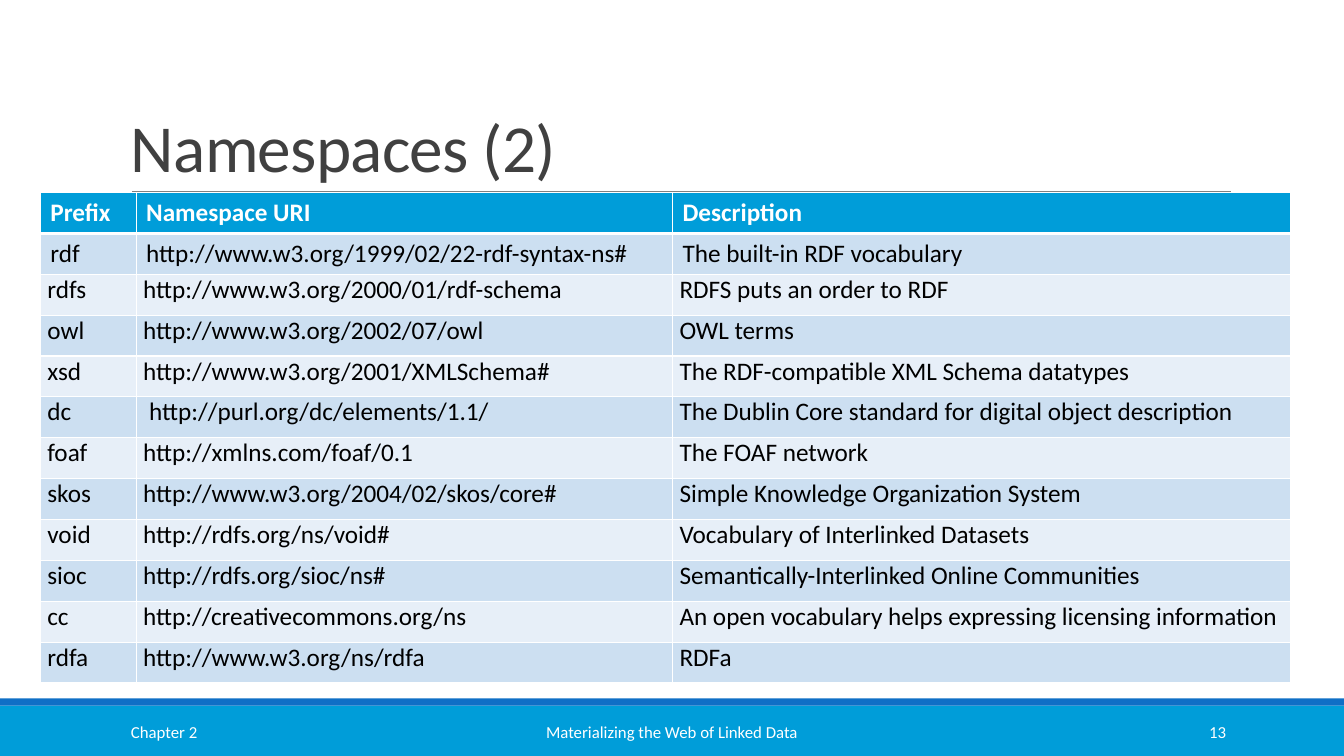
from typing import NamedTuple

import lxml.etree
import pptx
import pptx.dml.color
import pptx.enum.shapes
import pptx.enum.text
import pptx.oxml.ns
import pptx.util

Inches, Pt = pptx.util.Inches, pptx.util.Pt
RGBColor = pptx.dml.color.RGBColor
ALIGN, ANCHOR = pptx.enum.text.PP_ALIGN, pptx.enum.text.MSO_ANCHOR
qn = pptx.oxml.ns.qn

WHITE = RGBColor(0xFF, 0xFF, 0xFF)
BLACK = RGBColor(0x00, 0x00, 0x00)
CYAN = RGBColor(0x00, 0x9D, 0xD9)
BLUE = RGBColor(0x0F, 0x6F, 0xC6)
GRAY = RGBColor(0x80, 0x80, 0x80)
TITLE_GRAY = RGBColor(0x40, 0x40, 0x40)
BAND_DARK = RGBColor(0xCC, 0xDF, 0xF1)
BAND_LIGHT = RGBColor(0xE7, 0xEF, 0xF8)
FONT = "Calibri"


class Bar(NamedTuple):
    top: float
    height: float
    color: RGBColor


class Label(NamedTuple):
    text: str
    left: float
    top: float
    width: float
    height: float
    align: ALIGN = ALIGN.LEFT
    anchor: ANCHOR = ANCHOR.MIDDLE
    size: float = 12
    color: RGBColor = WHITE


class Namespace(NamedTuple):
    prefix: str
    uri: str
    description: str
    uri_indent: float = 0


BARS = [Bar(7, 0.5, CYAN), Bar(6.93, 0.07, BLUE)]
TITLE = Label("Namespaces (2)", 1.2, 0.31, 11, 1.59,
              anchor=ANCHOR.BOTTOM, size=48, color=TITLE_GRAY)
FOOTERS = [
    Label("Chapter 2", 1.2, 7.06, 2.7, 0.4),
    Label("Materializing the Web of Linked Data", 4.03, 7.06, 5.27, 0.4, ALIGN.CENTER),
    Label("13", 10.83, 7.06, 1.43, 0.4, ALIGN.RIGHT),
]
COLUMN_WIDTHS = [0.95, 5.32, 6.13]
ROWS = [
    Namespace("Prefix", "Namespace URI", "Description"),
    Namespace("rdf", "http://www.w3.org/1999/02/22-rdf-syntax-ns#", "The built-in RDF vocabulary"),
    Namespace("rdfs", "http://www.w3.org/2000/01/rdf-schema", "RDFS puts an order to RDF"),
    Namespace("owl", "http://www.w3.org/2002/07/owl", "OWL terms"),
    Namespace("xsd", "http://www.w3.org/2001/XMLSchema#",
              "The RDF-compatible XML Schema datatypes"),
    Namespace("dc", "http://purl.org/dc/elements/1.1/",
              "The Dublin Core standard for digital object description", 0.06),
    Namespace("foaf", "http://xmlns.com/foaf/0.1", "The FOAF network"),
    Namespace("skos", "http://www.w3.org/2004/02/skos/core#",
              "Simple Knowledge Organization System"),
    Namespace("void", "http://rdfs.org/ns/void#", "Vocabulary of Interlinked Datasets"),
    Namespace("sioc", "http://rdfs.org/sioc/ns#", "Semantically-Interlinked Online Communities"),
    Namespace("cc", "http://creativecommons.org/ns",
              "An open vocabulary helps expressing licensing information"),
    Namespace("rdfa", "http://www.w3.org/ns/rdfa", "RDFa"),
]


def set_font(p, size: float, color: RGBColor, bold: bool = False) -> None:
    p.font.name = FONT
    p.font.size = Pt(size)
    p.font.bold = bold
    p.font.color.rgb = color


def add_bar(slide, bar: Bar) -> None:
    sp = slide.shapes.add_shape(pptx.enum.shapes.MSO_SHAPE.RECTANGLE, 0, Inches(bar.top),
                                Inches(13.33), Inches(bar.height))
    sp.shadow.inherit = False
    sp.fill.solid()
    sp.fill.fore_color.rgb = bar.color
    sp.line.fill.background()


def add_rule(slide) -> None:
    line = slide.shapes.add_connector(pptx.enum.shapes.MSO_CONNECTOR.STRAIGHT, Inches(1.31),
                                      Inches(1.9), Inches(12.21), Inches(1.9))
    line.line.color.rgb = GRAY
    line.line.width = Pt(0.5)
    lxml.etree.SubElement(line._element.spPr, qn("a:effectLst"))


def add_label(slide, label: Label):
    sp = slide.shapes.add_textbox(Inches(label.left), Inches(label.top),
                                  Inches(label.width), Inches(label.height))
    tf = sp.text_frame
    tf.word_wrap = True
    tf.vertical_anchor = label.anchor
    p = tf.paragraphs[0]
    p.text = label.text
    p.alignment = label.align
    set_font(p, label.size, label.color)
    return p


def add_border(cell, side: str, width: float) -> None:
    ln = lxml.etree.SubElement(cell._tc.get_or_add_tcPr(), qn(f"a:ln{side}"),
                               w=str(Pt(width)))
    fill = lxml.etree.SubElement(ln, qn("a:solidFill"))
    lxml.etree.SubElement(fill, qn("a:srgbClr"), val=str(WHITE))


def fill_cell(cell, text: str, row: int, indent: float) -> None:
    header = row == 0
    for side in "LRTB":
        thick = (side == "B" and header) or (side == "T" and row == 1)
        add_border(cell, side, 3 if thick else 1)
    cell.fill.solid()
    cell.fill.fore_color.rgb = CYAN if header else BAND_DARK if row % 2 else BAND_LIGHT
    if row > 1:
        cell.margin_left = Inches(0.07 + indent)
        cell.margin_right = Inches(0.07)
        cell.margin_top = cell.margin_bottom = 0
    p = cell.text_frame.paragraphs[0]
    p.text = text
    set_font(p, 18, WHITE if header else BLACK, header)


def add_namespace_table(slide) -> None:
    table = slide.shapes.add_table(len(ROWS), len(COLUMN_WIDTHS), Inches(0.4), Inches(1.91),
                                   Inches(12.4), Inches(4.87)).table
    for column, width in zip(table.columns, COLUMN_WIDTHS):
        column.width = Inches(width)
    for i, entry in enumerate(ROWS):
        texts = (entry.prefix, entry.uri, entry.description)
        for j, text in enumerate(texts):
            fill_cell(table.cell(i, j), text, i, entry.uri_indent if j == 1 else 0)


def main() -> None:
    prs = pptx.Presentation()
    prs.slide_width, prs.slide_height = Inches(13.33), Inches(7.5)
    slide = prs.slides.add_slide(prs.slide_layouts[6])

    # Footer bars and title rule
    for bar in BARS:
        add_bar(slide, bar)
    add_rule(slide)

    # Title, slightly condensed
    p = add_label(slide, TITLE)
    p.line_spacing = 0.85
    p.runs[0]._r.get_or_add_rPr().set("spc", "-50")

    # Namespace table
    add_namespace_table(slide)

    # Footer texts
    for label in FOOTERS:
        add_label(slide, label)

    prs.save("out.pptx")


if __name__ == "__main__":
    main()
